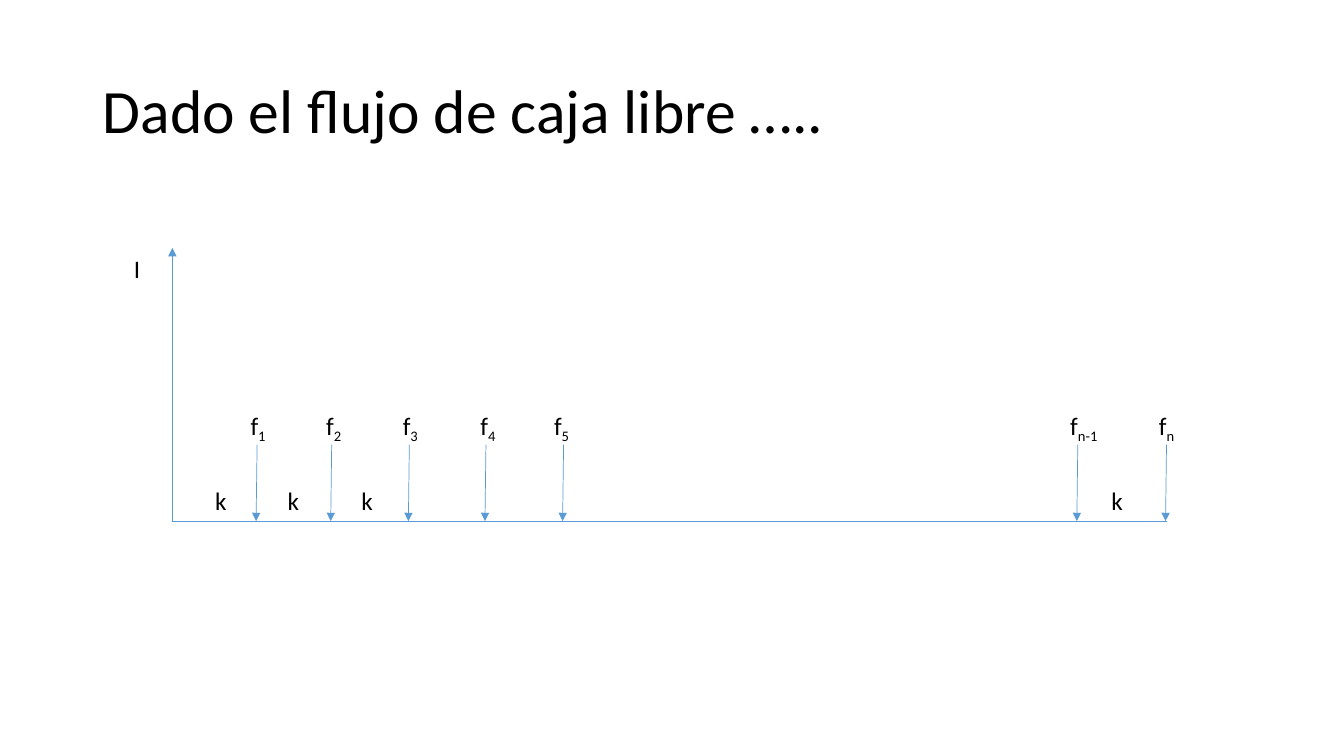
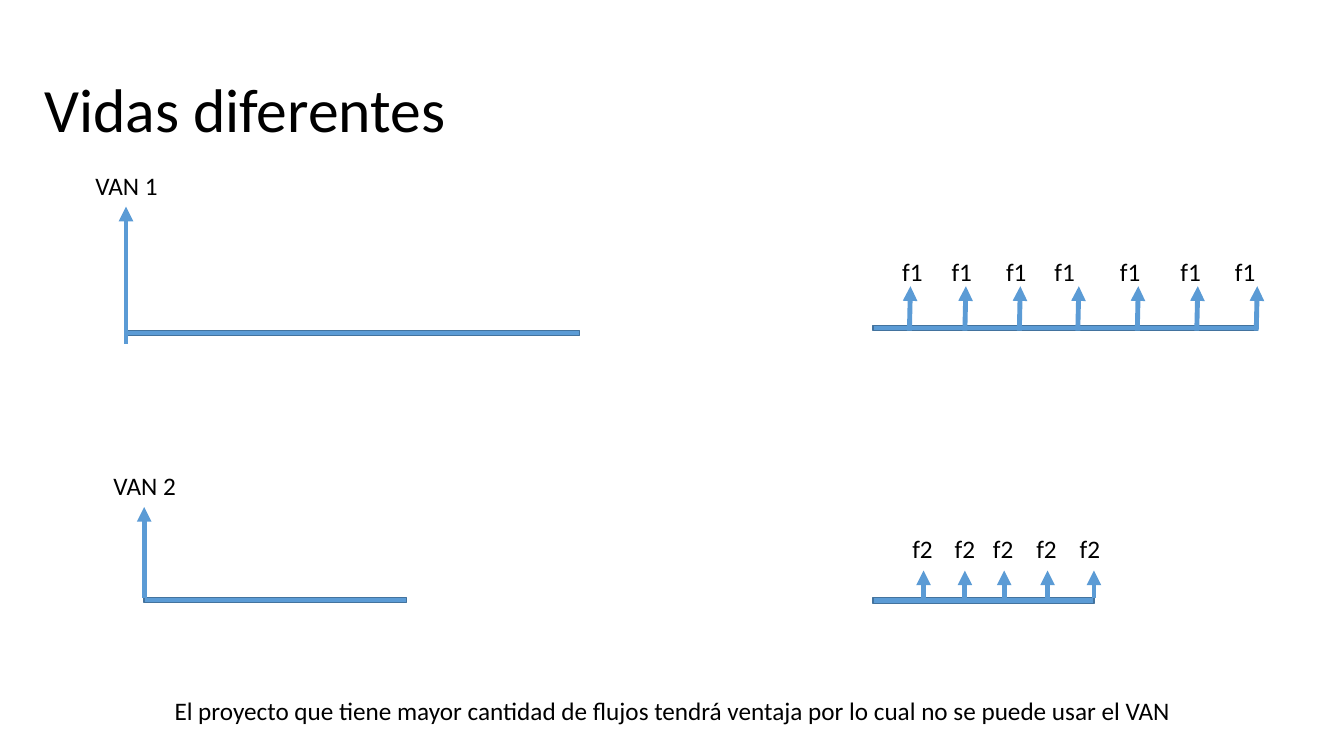
from dataclasses import dataclass

import pptx
import pptx.dml.color
import pptx.enum.shapes
import pptx.enum.text
import pptx.oxml.ns
import pptx.presentation
import pptx.shapes.connector
import pptx.slide
import pptx.util
from lxml import etree

EMU_PER_PX = 9144  # 100 px to the inch
TITLE_ONLY_LAYOUT = 5


@dataclass(frozen=True)
class Theme:
    font: str = "Calibri"
    text: str = "000000"
    accent: str = "5B9BD5"
    outline: str = "43739E"
    title_size: int = 44
    body_size: int = 18
    thin: float = 0.5
    thick: float = 3.5
    border: float = 1


@dataclass(frozen=True)
class Label:
    text: str
    centre: int
    top: int
    width: int = 60
    subscript: str = ""


@dataclass(frozen=True)
class Line:
    start: tuple[int, int]
    end: tuple[int, int]
    width: float
    arrow: bool = True


@dataclass(frozen=True)
class Bar:
    left: int
    top: int
    width: int
    height: int = 5


@dataclass(frozen=True)
class Flow:
    x: int
    label_centre: int
    name: str


@dataclass(frozen=True)
class Project:
    name: str
    value_x: int
    value_base: int
    value_tip: int
    value_bar: Bar
    flow_bar: Bar
    flow_base: int
    flow_tip: int
    flow_lean: int
    label_top: int
    flows: tuple[Flow, ...]


THEME = Theme()


def px(length: int) -> pptx.util.Emu:
    return pptx.util.Emu(length * EMU_PER_PX)


def rgb(colour: str) -> pptx.dml.color.RGBColor:
    return pptx.dml.color.RGBColor.from_string(colour)


def format_runs(paragraph, size: int) -> None:
    for run in paragraph.runs:
        run.font.name = THEME.font
        run.font.size = pptx.util.Pt(size)
        run.font.color.rgb = rgb(THEME.text)


# Shared drawing functions
def add_slide(presentation: pptx.presentation.Presentation, title: str,
              left: int, top: int) -> pptx.slide.Slide:
    slide = presentation.slides.add_slide(
        presentation.slide_layouts[TITLE_ONLY_LAYOUT])
    shape = slide.shapes.title
    shape.left, shape.top, shape.width, shape.height = map(
        px, (left, top, 1150, 145))
    frame = shape.text_frame
    frame.text = title
    frame.vertical_anchor = pptx.enum.text.MSO_ANCHOR.MIDDLE
    frame.auto_size = pptx.enum.text.MSO_AUTO_SIZE.NONE
    paragraph = frame.paragraphs[0]
    paragraph.alignment = pptx.enum.text.PP_ALIGN.LEFT
    paragraph.line_spacing = 0.9
    format_runs(paragraph, THEME.title_size)
    return slide


def add_label(slide: pptx.slide.Slide, label: Label) -> None:
    box = slide.shapes.add_textbox(px(label.centre - label.width // 2),
                                   px(label.top), px(label.width), px(40))
    frame = box.text_frame
    frame.word_wrap = True
    frame.margin_left = frame.margin_right = 0
    frame.text = label.text
    paragraph = frame.paragraphs[0]
    paragraph.alignment = pptx.enum.text.PP_ALIGN.CENTER
    if label.subscript:
        run = paragraph.add_run()
        run.text = label.subscript
        run._r.get_or_add_rPr().set("baseline", "-25000")
    format_runs(paragraph, THEME.body_size)


def add_line(slide: pptx.slide.Slide,
             line: Line) -> pptx.shapes.connector.Connector:
    connector = slide.shapes.add_connector(
        pptx.enum.shapes.MSO_CONNECTOR.STRAIGHT,
        *map(px, line.start + line.end))
    connector.line.color.rgb = rgb(THEME.accent)
    connector.line.width = pptx.util.Pt(line.width)
    if line.arrow:
        etree.SubElement(connector.line._get_or_add_ln(),
                         pptx.oxml.ns.qn("a:tailEnd"), type="triangle")
    etree.SubElement(connector._element.spPr, pptx.oxml.ns.qn("a:effectLst"))
    return connector


def add_bar(slide: pptx.slide.Slide, bar: Bar) -> None:
    shape = slide.shapes.add_shape(
        pptx.enum.shapes.MSO_SHAPE.RECTANGLE,
        *map(px, (bar.left, bar.top, bar.width, bar.height)))
    shape.shadow.inherit = False
    shape.fill.solid()
    shape.fill.fore_color.rgb = rgb(THEME.accent)
    shape.line.color.rgb = rgb(THEME.outline)
    shape.line.width = pptx.util.Pt(THEME.border)


# Slide 1: free cash flow over time
CASH_FLOWS = (
    Flow(255, 256, "1"), Flow(329, 331, "2"), Flow(406, 407, "3"),
    Flow(482, 484, "4"), Flow(559, 557, "5"),
    Flow(1069, 1075, "n-1"), Flow(1157, 1157, "n"),
)
RATE_CENTRES = (219, 291, 364, 1108)


def build_cash_flow(presentation: pptx.presentation.Presentation) -> None:
    slide = add_slide(presentation, "Dado el flujo de caja libre …..", 92, 40)
    origin = (171, 517)
    add_line(slide, Line(origin, (1157, 517), THEME.thin, arrow=False))
    add_line(slide, Line(origin, (171, 246), THEME.thin))
    add_label(slide, Label("I", 136, 246))
    for flow in CASH_FLOWS:
        add_line(slide, Line((flow.x, 441), (flow.x - 1, 517), THEME.thin))
        add_label(slide, Label("f", flow.label_centre, 402,
                               subscript=flow.name))
    for centre in RATE_CENTRES:
        add_label(slide, Label("k", centre, 477))


# Slide 2: projects with different lives
def named_flows(name: str, *places: tuple[int, int]) -> tuple[Flow, ...]:
    return tuple(Flow(x, centre, name) for x, centre in places)


PROJECTS = (
    Project("VAN 1", 125, 341, 205, Bar(126, 328, 449), Bar(866, 323, 381),
            328, 284, 1, 249,
            named_flows("f1", (902, 905), (957, 954), (1011, 1008),
                        (1069, 1056), (1128, 1121), (1187, 1181),
                        (1246, 1235))),
    Project("VAN 2", 143, 593, 503, Bar(143, 593, 260), Bar(866, 593, 219, 6),
            593, 566, 0, 524,
            named_flows("f2", (916, 915), (957, 957), (996, 995),
                        (1039, 1038), (1085, 1081))),
)


def add_project(slide: pptx.slide.Slide, project: Project) -> None:
    add_bar(slide, project.value_bar)
    add_bar(slide, project.flow_bar)
    add_line(slide, Line((project.value_x, project.value_base),
                         (project.value_x, project.value_tip), THEME.thick))
    add_label(slide, Label(project.name, project.value_x,
                           project.value_tip - 41, 83))
    for flow in project.flows:
        add_line(slide, Line((flow.x, project.flow_base),
                             (flow.x + project.flow_lean, project.flow_tip),
                             THEME.thick))
        add_label(slide, Label(flow.name, flow.label_centre,
                               project.label_top, 36))


def build_different_lives(
        presentation: pptx.presentation.Presentation) -> None:
    slide = add_slide(presentation, "Vidas diferentes", 34, 39)
    for project in PROJECTS:
        add_project(slide, project)
    add_label(slide, Label(
        "El proyecto que tiene mayor cantidad de flujos tendrá ventaja "
        "por lo cual no se puede usar el VAN", 667, 685, 1020))


def main() -> None:
    presentation = pptx.Presentation()
    presentation.slide_width = px(1333)
    presentation.slide_height = px(750)
    build_cash_flow(presentation)
    build_different_lives(presentation)
    presentation.save("out.pptx")


if __name__ == "__main__":
    main()
